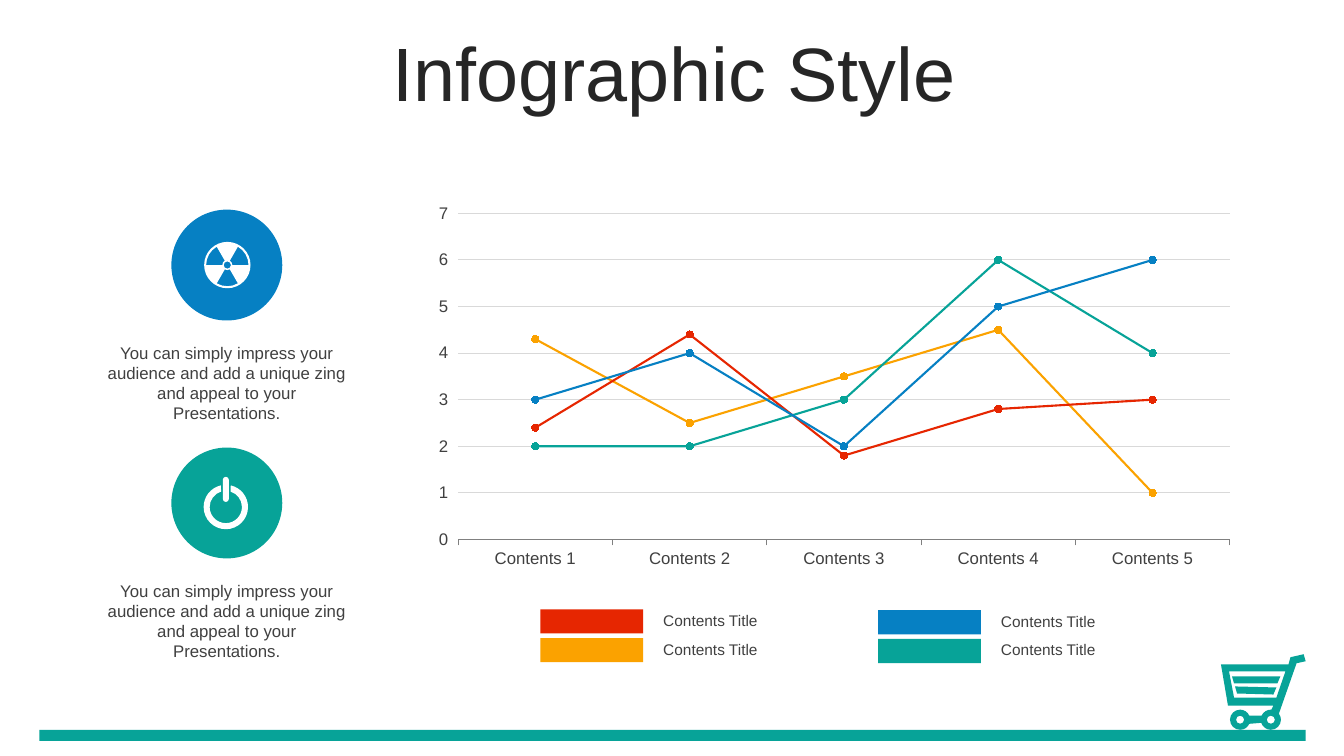
from dataclasses import dataclass
from math import ceil, cos, floor, radians, sin, tan

from lxml import etree
from pptx import Presentation
from pptx.chart.data import CategoryChartData
from pptx.dml.color import RGBColor
from pptx.enum.chart import XL_CHART_TYPE, XL_MARKER_STYLE, XL_TICK_MARK
from pptx.enum.shapes import MSO_SHAPE
from pptx.enum.text import MSO_ANCHOR, PP_ALIGN
from pptx.oxml.ns import qn
from pptx.util import Inches, Pt

LINE_CHART = XL_CHART_TYPE.LINE_MARKERS
DOT = XL_MARKER_STYLE.CIRCLE
TICK_OUT, TICK_NONE = XL_TICK_MARK.OUTSIDE, XL_TICK_MARK.NONE
RECTANGLE, ELLIPSE = MSO_SHAPE.RECTANGLE, MSO_SHAPE.OVAL
LEFT, CENTER = PP_ALIGN.LEFT, PP_ALIGN.CENTER
TOP, MIDDLE = MSO_ANCHOR.TOP, MSO_ANCHOR.MIDDLE
CELL = Inches(0.1)  # one column or one row of the grid


@dataclass(frozen=True)
class Theme:
    font: str = "Arial"
    title_size: int = 54
    body_size: int = 12
    legend_size: int = 11
    ink: str = "262626"
    text: str = "404040"
    teal: str = "07A398"
    blue: str = "0680C3"
    red: str = "E62601"
    amber: str = "FBA200"
    white: str = "FFFFFF"
    grid: str = "D9D9D9"
    axis: str = "808080"


def arc(x, y, radius, start, end):
    """A start point, then one Bezier curve (six numbers) per quadrant crossed."""
    low, high = min(start, end), max(start, end)
    inner = [90 * k for k in range(floor(low / 90) + 1, ceil(high / 90))]
    stops = sorted([low, *inner, high], reverse=start > end)
    points = [(x + radius * cos(radians(a)), y + radius * sin(radians(a))) for a in stops]
    result = points[:1]
    for a, b, (ax, ay), (bx, by) in zip(stops, stops[1:], points, points[1:]):
        pull = 4 / 3 * tan(radians(b - a) / 4)
        result.append((ax - pull * (ay - y), ay + pull * (ax - x),
                       bx + pull * (by - y), by - pull * (bx - x), bx, by))
    return result


def circle(x, y, radius):
    return arc(x, y, radius, 0, 360)


class SlideBuilder:
    def __init__(self, slide, theme):
        self.slide = slide
        self.shapes = slide.shapes
        self.theme = theme

    def paint(self, shape, color):
        shape.shadow.inherit = False
        shape.fill.solid()
        shape.fill.fore_color.rgb = RGBColor.from_string(color)
        shape.line.fill.background()

    def style_font(self, font, size, color):
        font.name = self.theme.font
        font.size = Pt(size)
        font.color.rgb = RGBColor.from_string(color)

    def style_line(self, line, color, width):
        line.color.rgb = RGBColor.from_string(color)
        line.width = Pt(width)

    def shape(self, kind, cells, color):
        self.paint(self.shapes.add_shape(kind, *[round(c * CELL) for c in cells]), color)

    def outline(self, contours, color):
        """One shape from several contours; inner contours become holes."""
        builder, steps = None, []
        for contour in contours:
            moves = [[round(n * CELL) for n in move] for move in contour]
            if builder is None:
                builder = self.shapes.build_freeform(*moves[0], scale=1.0)
            else:
                builder.move_to(*moves[0])
            builder.add_line_segments([move[-2:] for move in moves[1:]], close=True)
            steps += moves[1:]
        shape = builder.convert_to_shape()
        # Turn the segments that have control points into curves
        for segment, step in zip(shape.element.xpath(".//a:lnTo"), steps):
            if len(step) == 6:
                segment.clear()
                segment.tag = qn("a:cubicBezTo")
                for px, py in zip(step[::2], step[1::2]):
                    etree.SubElement(segment, qn("a:pt"),
                                     x=str(px - shape.left), y=str(py - shape.top))
        self.paint(shape, color)

    def text(self, cells, words, size, color, align=LEFT, anchor=TOP, spacing=None):
        box = self.shapes.add_textbox(*[round(c * CELL) for c in cells])
        frame = box.text_frame
        frame.word_wrap = True
        frame.vertical_anchor = anchor
        para = frame.paragraphs[0]
        para.alignment = align
        if spacing:
            para.line_spacing = spacing
        span = para.add_run()
        span.text = words
        self.style_font(span.font, size, color)

    def line_chart(self, cells, categories, series):
        theme = self.theme
        data = CategoryChartData(number_format="General")
        data.categories = categories
        for name, values, _ in series:
            data.add_series(name, values)
        frame = self.shapes.add_chart(LINE_CHART, *[round(c * CELL) for c in cells], data)
        chart = frame.chart
        chart.has_legend = False
        chart.has_title = False
        self.style_font(chart.font, theme.body_size, theme.text)

        for axis in (chart.category_axis, chart.value_axis):
            axis.major_tick_mark = TICK_OUT
            axis.minor_tick_mark = TICK_NONE
            self.style_font(axis.tick_labels.font, theme.body_size, theme.text)
        self.style_line(chart.category_axis.format.line, theme.axis, 0.75)
        values_axis = chart.value_axis
        values_axis.minimum_scale, values_axis.maximum_scale = 0, 7
        values_axis.major_unit = 1
        values_axis.format.line.fill.background()
        values_axis.has_major_gridlines = True
        self.style_line(values_axis.major_gridlines.format.line, theme.grid, 0.75)

        plot = chart.plots[0]
        plot.vary_by_categories = False
        for line, (_, _, color) in zip(plot.series, series):
            line.smooth = False
            self.style_line(line.format.line, color, 1.5)
            line.marker.style = DOT
            line.marker.size = 5
            line.marker.format.fill.solid()
            line.marker.format.fill.fore_color.rgb = RGBColor.from_string(color)
            self.style_line(line.marker.format.line, color, 0.75)


def cart_contours():
    left, right, axle = 123, 126.05, 71.4
    body = [(129.3, 64.9), (128, 65.2), (127.8, 65.9), (121.1, 65.9),
            (121.8, 70), (126.3, 70), (126.1, 70.4)]
    body += arc(right, axle, 1, -90, -156) + arc(left, axle, 1, -24, -336)
    body += arc(right, axle, 1, 162, -37) + [(128.6, 65.8), (129.5, 65.6)]
    basket = [(127.5, 66.6), (126.6, 69.2), (122.4, 69.2), (121.9, 66.6)]
    upper_slat = [(122.2, 67.1), (122.4, 67.8), (126.7, 67.8), (127, 67.1)]
    lower_slat = [(122.5, 68.1), (122.7, 68.8), (126.3, 68.9), (126.6, 68.2)]
    hubs = [circle(x, axle, 0.4) for x in (left, right)]
    return [body, basket, upper_slat, lower_slat, *hubs]


def radiation_contours():
    x, y = 22.55, 26.3
    gaps = [arc(x, y, 2.1, start, start + 60) + arc(x, y, 0.5, start + 60, start)
            for start in (60, 180, 300)]
    return [circle(x, y, 2.3), *gaps, circle(x, y, 0.36)]


def power_contours():
    x, y = 22.4, 50.3
    ring = arc(x, y, 2.2, -77, 257) + arc(x, y, 1.6, 253, -73)
    bar = arc(x, 47.6, 0.3, 180, 360) + arc(x, 49.5, 0.3, 0, 180)
    return [ring, bar]


def main():
    deck = Presentation()
    deck.slide_width, deck.slide_height = Inches(13.33), Inches(7.5)
    theme = Theme()
    page = SlideBuilder(deck.slides.add_slide(deck.slide_layouts[6]), theme)
    # Footer with shopping cart
    page.outline(cart_contours(), theme.teal)
    page.shape(RECTANGLE, (3.9, 72.4, 125.6, 1.1), theme.teal)
    # Title
    page.text((3.55, 3.7, 126.6, 7.9), "Infographic Style", theme.title_size,
              theme.ink, CENTER, MIDDLE, 0.9)
    # Line chart
    page.line_chart(
        (41.9, 19.53, 81.7, 37.5),
        [f"Contents {number}" for number in range(1, 6)],
        [("Series 1", (4.3, 2.5, 3.5, 4.5, 1), theme.amber),
         ("Series 2", (2.4, 4.4, 1.8, 2.8, 3), theme.red),
         ("Series 3", (2, 2, 3, 6, 4), theme.teal),
         ("Series 4", (3, 4, 2, 5, 6), theme.blue)])
    # Legend: two columns of two swatches
    swatches = ((theme.red, theme.blue), (theme.amber, theme.teal))
    for row, colors in enumerate(swatches):
        for column, color in enumerate(colors):
            left, top = 53.6 + 33.5 * column, 60.45 + 2.85 * row + 0.08 * column
            page.shape(RECTANGLE, (left, top, 10.2, 2.4), color)
            page.text((left + 11.2, top - 0.33, 13.6, 2.9), "Contents Title",
                      theme.legend_size, theme.text)
    # Icon blocks with captions
    caption = ("You can simply impress your audience and add a unique zing "
               "and appeal to your Presentations.")
    blocks = ((theme.blue, radiation_contours()), (theme.teal, power_contours()))
    for index, (color, icon) in enumerate(blocks):
        top = 20.8 + 23.6 * index
        page.shape(ELLIPSE, (17, top, 11, 11), color)
        page.text((9.7, top + 12.7, 25.6, 9.1), caption, theme.body_size,
                  theme.text, CENTER)
        page.outline(icon, theme.white)

    deck.save("out.pptx")


if __name__ == "__main__":
    main()
